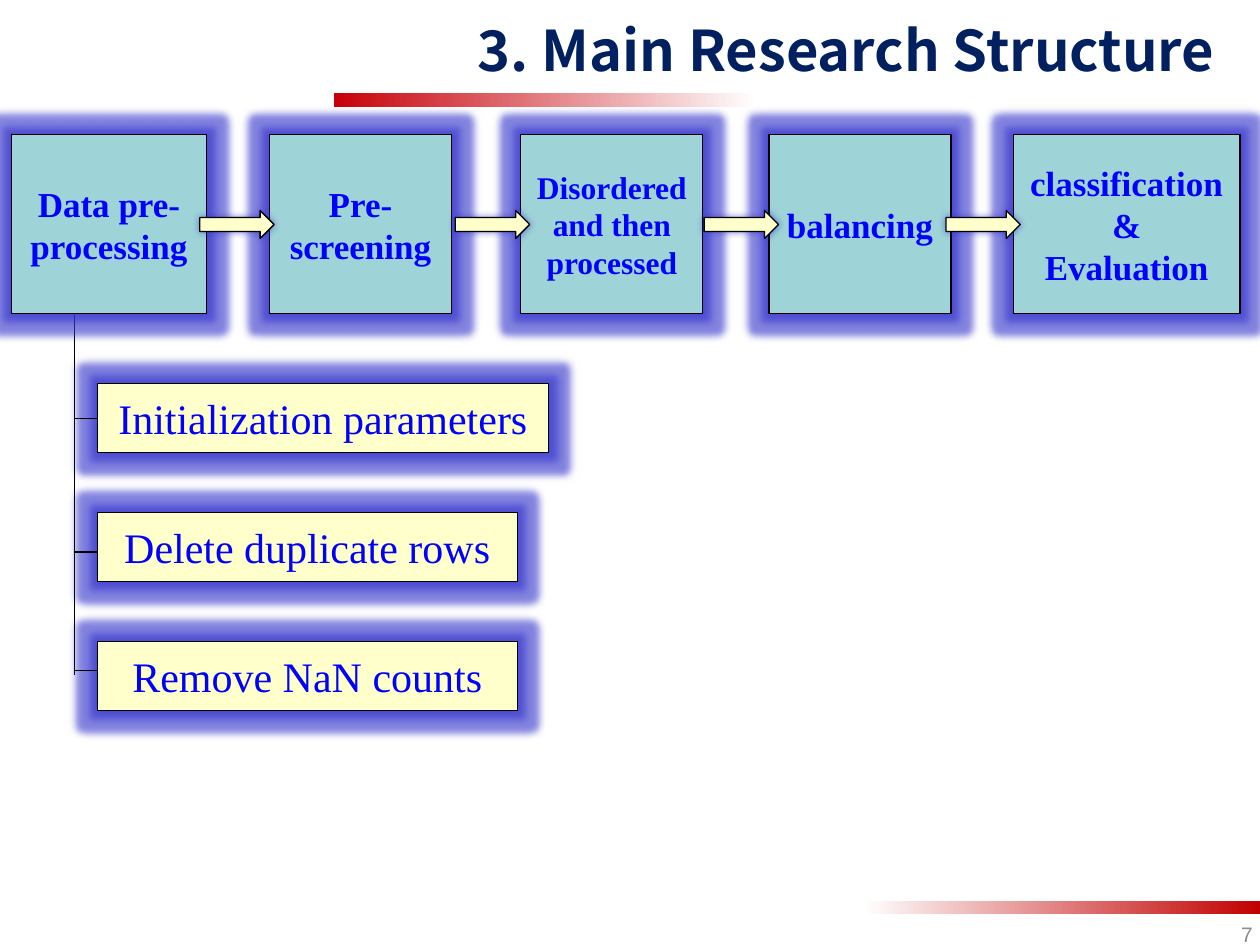
"""Build the main research structure slide with its process row and detail list."""
from lxml import etree
from pptx import Presentation
from pptx.dml.color import RGBColor
from pptx.enum.shapes import MSO_CONNECTOR, MSO_SHAPE
from pptx.enum.text import MSO_ANCHOR, PP_ALIGN
from pptx.oxml.ns import qn
from pptx.util import Pt

RECT, ARROW = MSO_SHAPE.RECTANGLE, MSO_SHAPE.DOWN_ARROW
STRAIGHT = MSO_CONNECTOR.STRAIGHT
TOP, MIDDLE = MSO_ANCHOR.TOP, MSO_ANCHOR.MIDDLE
CENTER, RIGHT = PP_ALIGN.CENTER, PP_ALIGN.RIGHT
COLORS = {
    "title": "002060", "text": "0000FF", "number": "8C8C8C",
    "step": "9ED3D7", "detail": "FFFFCC", "line": "000000",
    "white": "FFFFFF", "top_red": "C70109", "bottom_red": "C20000",
    "glow": "3333CC",
}


def write(sp, text, size, color="text", font="Times New Roman", bold=False,
          align=CENTER, anchor=MIDDLE):
    tf = sp.text_frame
    tf.word_wrap = True
    tf.vertical_anchor = anchor
    for i, line in enumerate(text.split("\n")):
        p = tf.paragraphs[0] if i == 0 else tf.add_paragraph()
        p.alignment = align
        r = p.add_run()
        r.text = line
        r.font.size = Pt(size)
        r.font.name = font
        r.font.bold = bold
        r.font.color.rgb = RGBColor.from_string(COLORS[color])
        etree.SubElement(r.font._element, qn("a:ea")).set("typeface", font)


def add_block(kind, left, top, width, height, fill, effects):
    sp = s.shapes.add_shape(kind, Pt(left), Pt(top), Pt(width), Pt(height))
    sp.shadow.inherit = False
    sp.fill.solid()
    sp.fill.fore_color.rgb = RGBColor.from_string(COLORS[fill])
    sp.line.color.rgb = RGBColor.from_string(COLORS["line"])
    sp.line.width = Pt(0.75)
    effect_list = sp._element.spPr.find(qn("a:effectLst"))
    for tag, attribute, radius, alpha in effects:
        effect = etree.SubElement(effect_list, qn(tag))
        effect.set(attribute, str(Pt(radius)))
        color = etree.SubElement(effect, qn("a:srgbClr"), val=COLORS["glow"])
        etree.SubElement(color, qn("a:alpha"), val=str(alpha * 1000))
    return sp


prs = Presentation()
prs.slide_width, prs.slide_height = Pt(720), Pt(540)
s = prs.slides.add_slide(prs.slide_layouts[6])

for left, top, width, height, red, rotation in (
        (190.8, 53.2, 241.2, 8, "top_red", 180),
        (493.2, 514.8, 226.8, 7.4, "bottom_red", 0)):
    bar = s.shapes.add_shape(RECT, Pt(left), Pt(top), Pt(width), Pt(height))
    bar.shadow.inherit = False
    bar.line.fill.background()
    bar.rotation = rotation
    bar.fill.gradient()
    bar.fill.gradient_angle = 0
    for stop, color in zip(bar.fill.gradient_stops, ("white", red)):
        stop.color.rgb = RGBColor.from_string(COLORS[color])

title = s.shapes.add_textbox(Pt(0), Pt(5.8), Pt(700), Pt(54))
title.text_frame.margin_left = title.text_frame.margin_right = Pt(5.8)
title.text_frame.margin_top = Pt(2.9)
write(title, "3. Main Research Structure", 32, color="title",
      font="Noto Sans CJK SC", bold=True, align=RIGHT, anchor=TOP)
number = s.shapes.add_textbox(Pt(555), Pt(519), Pt(168), Pt(29))
write(number, "7", 12, color="number", font="Arial", align=RIGHT)

SHADOW = ("a:outerShdw", "blurRad", 4, 60)
GLOW = ("a:glow", "rad", 8, 50)
DETAIL_LEFT, TRUNK_X = 55.6, 42.5
details = (("Initialization parameters", 258, 239),
           ("Delete duplicate rows", 240, 315.4),
           ("Remove NaN counts", 240, 383))
for i, (text, width, _) in enumerate(details):
    detail = add_block(RECT, DETAIL_LEFT, 219 + 73.7 * i, width, 39.6,
                       "detail", (GLOW, SHADOW))
    write(detail, text, 24)

branches = [(DETAIL_LEFT, y, TRUNK_X, y) for _, _, y in details]
for x1, y1, x2, y2 in [(TRUNK_X, 179.3, TRUNK_X, 386)] + branches:
    line = s.shapes.add_connector(STRAIGHT, Pt(x1), Pt(y1), Pt(x2), Pt(y2))
    line.line.color.rgb = RGBColor.from_string(COLORS["line"])
    line.line.width = Pt(0.75)
    etree.SubElement(line._element.spPr, qn("a:effectLst"))

for text, left, width, size in (
        ("Data pre-processing", 6.5, 111.6, 20),
        ("Pre-screening", 154, 104, 20),
        ("Disordered and then processed", 297.6, 104, 18),
        ("balancing", 439.4, 104, 20),
        ("classification&\nEvaluation", 579, 129.6, 20)):
    step = add_block(RECT, left, 77, width, 102.3, "step", (GLOW, SHADOW))
    write(step, text, size, bold=True)

for left in (127.4, 273.4, 415.6, 553.8):
    arrow = add_block(ARROW, left, 107, 16, 42.5, "detail", (SHADOW,))
    arrow.rotation = 270

prs.save("out.pptx")
